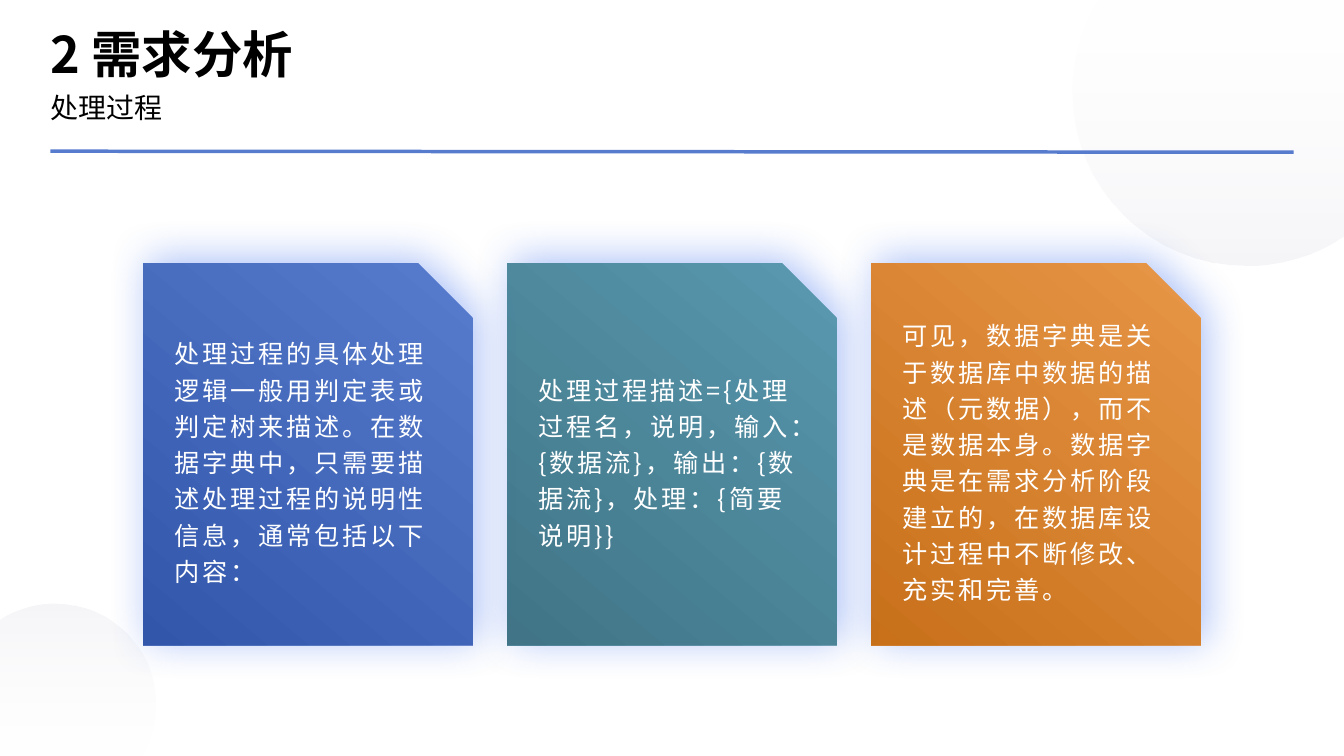
from dataclasses import dataclass
from itertools import pairwise
from math import cos, radians, sin, tan

from pptx import Presentation
from pptx.dml.color import RGBColor
from pptx.enum.shapes import MSO_CONNECTOR as Connector, MSO_SHAPE as Preset
from pptx.enum.text import MSO_ANCHOR as Anchor
from pptx.oxml import parse_xml
from pptx.oxml.ns import nsdecls, qn
from pptx.util import Inches, Pt


@dataclass(frozen=True)
class Theme:
    font: str = "Noto Sans CJK SC"
    ink: str = "000000"
    paper: str = "FFFFFF"
    mist: str = "D8D8E4"
    blue: tuple = ("577CCE", "3257AA")
    teal: tuple = ("5999AF", "407486")
    orange: tuple = ("E79647", "C8701A")
    glow: str = "4575F0"
    title_size: int = 36
    subtitle_size: int = 20
    body_size: int = 18


class SlideBuilder:
    """Draws styled elements on one slide."""

    def __init__(self, slide, theme):
        self.slide = slide
        self.theme = theme

    def gradient(self, shape, colors, angle, opacities=(100, 100)):
        shape.shadow.inherit = False
        shape.line.fill.background()
        shape.fill.background()
        stops = ""
        for position, color, opacity in zip((0, 100000), colors, opacities):
            alpha = f'<a:alpha val="{opacity * 1000}"/>' if opacity < 100 else ""
            stops += f'<a:gs pos="{position}"><a:srgbClr val="{color}">{alpha}</a:srgbClr></a:gs>'
        properties = shape._element.spPr
        properties.replace(properties.find(qn("a:noFill")), parse_xml(
            f'<a:gradFill {nsdecls("a")} rotWithShape="1"><a:gsLst>{stops}</a:gsLst>'
            f'<a:lin ang="{angle * 60000}" scaled="0"/></a:gradFill>'
        ))

    def cut_circle(self, center, radius, angles, corner, gradient_angle):
        def around(turn, reach=0):
            x = center[0] + radius * (cos(turn) - reach * sin(turn))
            y = center[1] + radius * (sin(turn) + reach * cos(turn))
            return Inches(x), Inches(y)

        turns = [radians(angle) for angle in angles]
        builder = self.slide.shapes.build_freeform(*map(Inches, corner))
        builder.add_line_segments([around(turn) for turn in turns], close=True)
        shape = builder.convert_to_shape()
        arc_lines = list(shape._element.iter(qn("a:lnTo")))[1:len(turns)]
        for line, (start, end) in zip(arc_lines, pairwise(turns)):
            reach = 4 / 3 * tan((end - start) / 4)
            points = "".join(
                f'<a:pt x="{x - shape.left}" y="{y - shape.top}"/>'
                for x, y in (around(start, reach), around(end, -reach), around(end))
            )
            line.getparent().replace(line, parse_xml(
                f'<a:cubicBezTo {nsdecls("a")}>{points}</a:cubicBezTo>'))
        self.gradient(shape, (self.theme.paper, self.theme.mist), gradient_angle, (10, 24))

    def rule(self, left, top, right, bottom):
        line = self.slide.shapes.add_connector(
            Connector.STRAIGHT, Inches(left), Inches(top), Inches(right), Inches(bottom))
        line.line.color.rgb = RGBColor.from_string(self.theme.blue[0])
        line.line.width = Pt(2.5)
        line._element.spPr.append(parse_xml(f'<a:effectLst {nsdecls("a")}/>'))

    def card(self, left, top, width, height, colors):
        shape = self.slide.shapes.add_shape(
            Preset.SNIP_1_RECTANGLE, Inches(left), Inches(top), Inches(width), Inches(height))
        self.gradient(shape, colors, 130)
        shape._element.spPr.find(qn("a:effectLst")).append(parse_xml(
            f'<a:outerShdw {nsdecls("a")} blurRad="{Pt(30)}" dist="{Pt(5)}" '
            f'dir="{315 * 60000}" algn="ctr" rotWithShape="0">'
            f'<a:srgbClr val="{self.theme.glow}"><a:alpha val="45000"/></a:srgbClr>'
            '</a:outerShdw>'
        ))

    def text(self, box, words, size, color, anchor=Anchor.TOP, inset=True,
             bold=False, line_spacing=None, tracking=0):
        frame = self.slide.shapes.add_textbox(*map(Inches, box)).text_frame
        frame.word_wrap = True
        frame.vertical_anchor = anchor
        if not inset:
            frame.margin_left = frame.margin_right = 0
            frame.margin_top = frame.margin_bottom = 0
        paragraph = frame.paragraphs[0]
        paragraph.line_spacing = line_spacing
        run = paragraph.add_run()
        run.text = words
        run.font.size = Pt(size)
        run.font.bold = bold
        run.font.color.rgb = RGBColor.from_string(color)
        run.font.name = self.theme.font
        properties = run._r.get_or_add_rPr()
        properties.set("lang", "zh-CN")
        if tracking:
            properties.set("spc", str(tracking * 100))
        latin = properties.find(qn("a:latin"))
        latin.addnext(parse_xml(f'<a:ea {nsdecls("a")} typeface="{self.theme.font}"/>'))


def main():
    presentation = Presentation()
    presentation.slide_width = Inches(13.33)
    presentation.slide_height = Inches(7.5)
    theme = Theme()
    slide = presentation.slides.add_slide(presentation.slide_layouts[6])
    builder = SlideBuilder(slide, theme)

    builder.cut_circle((12.36, 0.91), 1.72, (56, 90, 180, 212), (13.33, 0), 90)
    builder.cut_circle((0.55, 6.98), 0.99, (236.3, 270, 360, 391.7), (0, 7.5), 270)
    builder.rule(0.5, 1.5, 12.83, 1.51)
    builder.text((0.5, 0.17, 12.33, 0.66), "2 需求分析", theme.title_size, theme.ink,
                 anchor=Anchor.BOTTOM, inset=False, bold=True)
    builder.text((0.5, 0.83, 12.33, 0.5), "处理过程", theme.subtitle_size, theme.ink,
                 inset=False, line_spacing=1.2)

    cards = [
        (theme.blue, "处理过程的具体处理逻辑一般用判定表或判定树来描述。在数据字典中，"
                     "只需要描述处理过程的说明性信息，通常包括以下内容："),
        (theme.teal, "处理过程描述={处理过程名，说明，输入：{数据流}，输出：{数据流}，"
                     "处理：{简要说明}}"),
        (theme.orange, "可见，数据字典是关于数据库中数据的描述（元数据），而不是数据本身。"
                       "数据字典是在需求分析阶段建立的，在数据库设计过程中不断修改、充实和完善。"),
    ]
    first_left, pitch = 1.42, 3.61
    placed = [(first_left + pitch * index, *card) for index, card in enumerate(cards)]
    for left, colors, _ in reversed(placed):
        builder.card(left, 2.61, 3.27, 3.79, colors)
    for left, _, words in placed:
        builder.text((left + 0.21, 3.01, 2.86, 3.1), words, theme.body_size, theme.paper,
                     anchor=Anchor.MIDDLE, line_spacing=1.2, tracking=2)

    presentation.save("out.pptx")


if __name__ == "__main__":
    main()
